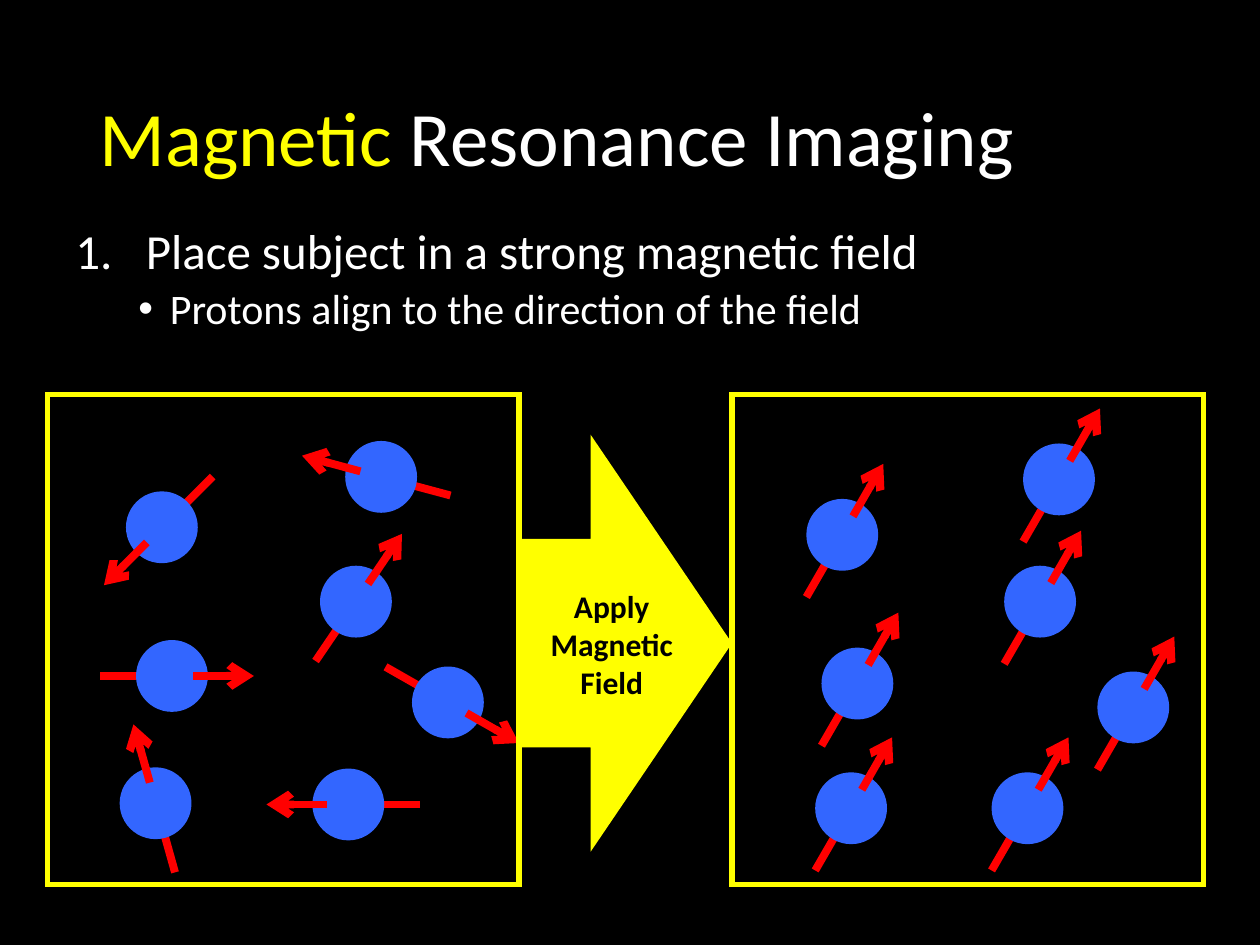
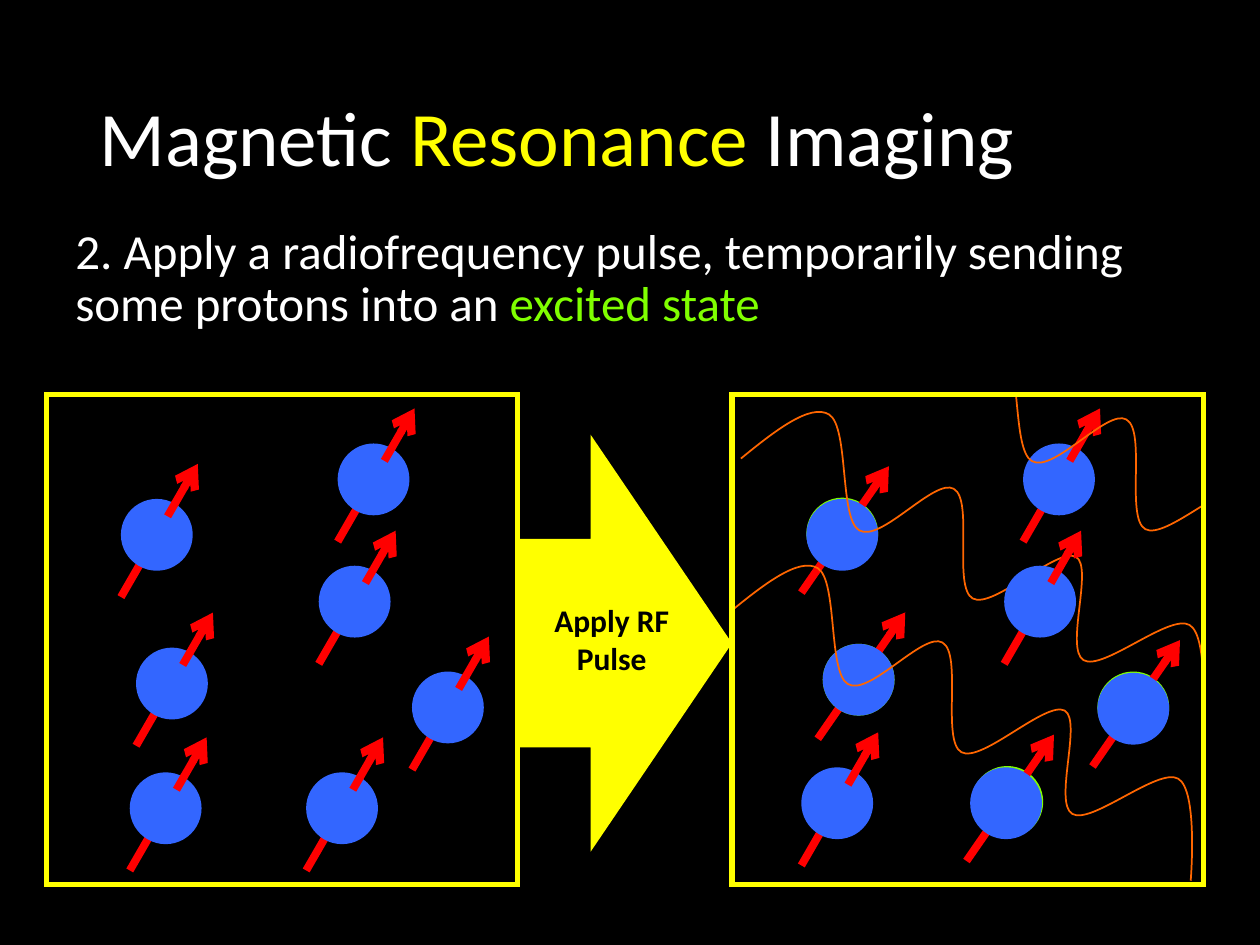
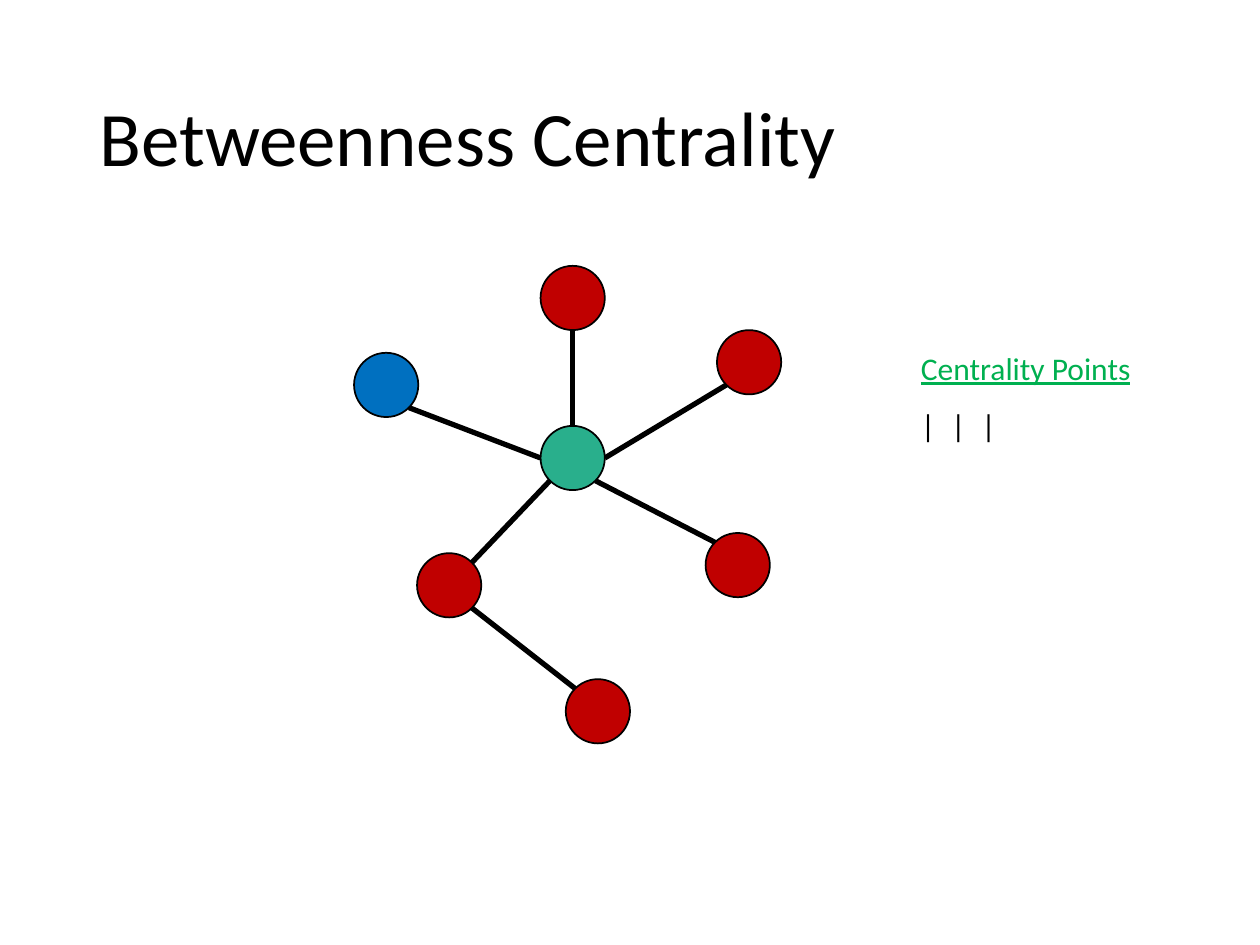
import math
from dataclasses import dataclass

from lxml import etree
from pptx import Presentation
from pptx import util as u
from pptx.dml.color import RGBColor
from pptx.enum import shapes, text
from pptx.oxml import ns

PX = u.Inches(1) // 100


@dataclass(frozen=True)
class Theme:
    font: str = "Calibri"
    bullet_font: str = "Arial"
    black: str = "000000"
    white: str = "FFFFFF"
    yellow: str = "FFFF00"
    red: str = "FF0000"
    proton: str = "3366FF"
    excited: str = "80FF00"
    wave: str = "FF6600"
    hub: str = "29AF8C"
    source: str = "0070C0"
    node: str = "C00000"
    points: str = "00B050"
    title_size: int = 44
    body_size: int = 28
    detail_size: int = 24
    label_size: int = 18
    thin: float = 1
    medium: float = 3
    thick: float = 4.5
    line_spacing: float = 0.9


THEME = Theme()
PROTON_SIZE = 57
NODE_SIZE = 51
FRAME_WIDTH, FRAME_HEIGHT, FRAME_TOP = 374, 389, 313
RIGHT_FRAME_LEFT = 581
FIELD_HEADING = 30
EXCITED_HEADING = 34.7

SCATTERED_PROTONS = [
    (100, 390, -135), (254, 449, 34.2), (108, 508, 90), (274, 350, -75),
    (248, 610, -90), (95, 609, -15.7), (327, 529, 119.7),
]
ALIGNED_PROTONS = [
    (640, 396), (797, 449), (652, 514), (812, 352),
    (787, 613), (647, 613), (871, 533),
]
EXCITED_PROTONS = [
    ((640, 395), (640, 396)), ((653, 511), (653, 511)),
    ((771, 608), (770, 609)), ((871, 533), (871, 534)),
]
WAVE_POINTS = [
    (588, 364),
    (615, 342), (643, 320), (658, 329),
    (674, 339), (666, 412), (682, 421),
    (699, 431), (742, 379), (757, 388),
    (773, 397), (756, 466), (772, 475),
    (788, 484), (839, 434), (854, 442),
    (868, 450), (845, 515), (860, 524),
    (875, 533), (928, 487), (944, 496),
    (960, 505), (954, 577), (954, 577),
]


def color(value):
    return RGBColor.from_string(value)


def rim_point(node, site):
    radius = NODE_SIZE / 2
    angle = math.radians(45 * site)
    return (
        node[0] + radius - radius * math.sin(angle),
        node[1] + radius - radius * math.cos(angle),
    )


def bend_segments(shape):
    segments = list(shape._element.iter(ns.qn("a:lnTo")))
    for first in range(0, len(segments), 3):
        curve = etree.Element(ns.qn("a:cubicBezTo"))
        segments[first].addprevious(curve)
        for segment in segments[first:first + 3]:
            curve.append(segment[0])
            segment.getparent().remove(segment)


class Deck:
    def __init__(self, theme):
        self.theme = theme
        self.presentation = Presentation()
        self.presentation.slide_width = 1000 * PX
        self.presentation.slide_height = 750 * PX
        self.slide = None

    def new_slide(self, background, title_runs):
        self.slide = self.presentation.slides.add_slide(self.presentation.slide_layouts[5])
        self.slide.background.fill.solid()
        self.slide.background.fill.fore_color.rgb = color(background)
        title = self.slide.shapes.title
        title.left, title.top, title.width, title.height = (
            length * PX for length in (69, 40, 862, 145)
        )
        frame = title.text_frame
        frame.auto_size = text.MSO_AUTO_SIZE.NONE
        frame.vertical_anchor = text.MSO_ANCHOR.MIDDLE
        paragraph = frame.paragraphs[0]
        paragraph.alignment = text.PP_ALIGN.LEFT
        paragraph.line_spacing = self.theme.line_spacing
        self.write_runs(paragraph, title_runs, self.theme.title_size)

    def write_runs(self, paragraph, runs, size, bold=False, underline=False):
        for words, run_color in runs:
            run = paragraph.add_run()
            run.text = words
            run.font.name = self.theme.font
            run.font.size = u.Pt(size)
            run.font.bold = bold
            run.font.underline = underline
            run.font.color.rgb = color(run_color)

    def text_box(self, left, top, width, height, wrap=True):
        box = self.slide.shapes.add_textbox(left * PX, top * PX, width * PX, height * PX)
        box.text_frame.word_wrap = wrap
        return box.text_frame

    def body(self, height):
        frame = self.text_box(50, 175, 900, height)
        frame.paragraphs[0].line_spacing = self.theme.line_spacing
        return frame

    def bullet(self, paragraph, margin, hanging, tag, typeface, **attributes):
        properties = paragraph._p.get_or_add_pPr()
        properties.set("marL", str(margin * PX))
        properties.set("indent", str(-hanging * PX))
        etree.SubElement(properties, ns.qn("a:buFont"), typeface=typeface)
        etree.SubElement(properties, ns.qn(tag), attributes)

    def label(self, left, top, width, height, words, text_color, centered=False,
              bold=False, underline=False, wrap=False):
        paragraph = self.text_box(left, top, width, height, wrap).paragraphs[0]
        if centered:
            paragraph.alignment = text.PP_ALIGN.CENTER
        self.write_runs(paragraph, [(words, text_color)], self.theme.label_size, bold, underline)

    def paint(self, shape, fill=None, line=None, width=1):
        shape.shadow.inherit = False
        if fill:
            shape.fill.solid()
            shape.fill.fore_color.rgb = color(fill)
        else:
            shape.fill.background()
        if line:
            shape.line.color.rgb = color(line)
            shape.line.width = u.Pt(width)
        else:
            shape.line.fill.background()

    def shape(self, kind, left, top, width, height, fill=None, line=None, line_width=1):
        shape = self.slide.shapes.add_shape(
            kind, left * PX, top * PX, width * PX, height * PX
        )
        self.paint(shape, fill, line, line_width)
        return shape

    def circle(self, position, size, fill, line=None):
        self.shape(shapes.MSO_SHAPE.OVAL, *position, size, size, fill, line, self.theme.thin)

    def line(self, begin, end, line_color, width, arrow=False):
        connector = self.slide.shapes.add_connector(
            shapes.MSO_CONNECTOR.STRAIGHT, *(round(value * PX) for value in (*begin, *end))
        )
        connector.line.color.rgb = color(line_color)
        connector.line.width = u.Pt(width)
        if arrow:
            etree.SubElement(connector.line._get_or_add_ln(), ns.qn("a:tailEnd"), type="arrow")
        etree.SubElement(connector._element.spPr, ns.qn("a:effectLst"))

    def proton(self, left, top, heading=FIELD_HEADING, fill=None):
        angle = math.radians(heading)

        def along(distance):
            return (
                left + PROTON_SIZE / 2 + distance * math.sin(angle),
                top + PROTON_SIZE / 2 - distance * math.cos(angle),
            )

        theme = self.theme
        self.line(along(29), along(-57), theme.red, theme.thick)
        self.circle((left, top), PROTON_SIZE, fill or theme.proton)
        self.line(along(17), along(65), theme.red, theme.thick, arrow=True)

    def aligned_protons(self, shift=0):
        for left, top in ALIGNED_PROTONS:
            self.proton(left + shift, top)

    def frame(self, left):
        frame = self.shape(
            shapes.MSO_SHAPE.RECTANGLE, left, FRAME_TOP, FRAME_WIDTH, FRAME_HEIGHT,
            line=self.theme.yellow, line_width=self.theme.medium,
        )
        etree.SubElement(frame.line._get_or_add_ln(), ns.qn("a:miter"), lim="800000")

    def step_arrow(self, words, top, height):
        arrow = self.shape(shapes.MSO_SHAPE.RIGHT_ARROW, 411, 345, 170, 331, self.theme.yellow)
        arrow.adjustments[0] = 0.5
        arrow.adjustments[1] = 0.66
        self.label(411, top, 149, height, words, self.theme.black,
                   centered=True, bold=True, wrap=True)

    def wave(self, shift_x=0, shift_y=0):
        points = [((x + shift_x) * PX, (y + shift_y) * PX) for x, y in WAVE_POINTS]
        builder = self.slide.shapes.build_freeform(*points[0], scale=1.0)
        builder.add_line_segments(points[1:], close=False)
        shape = builder.convert_to_shape()
        bend_segments(shape)
        self.paint(shape, line=self.theme.wave, width=self.theme.thin)

    def mask(self, left, top, width, height):
        self.shape(shapes.MSO_SHAPE.RECTANGLE, left, top, width, height, self.theme.black)


def magnetic_slide(deck):
    theme = deck.theme
    deck.new_slide(theme.black, [
        ("Magnetic", theme.yellow), (" Resonance Imaging", theme.white),
    ])
    frame = deck.body(527)
    step = frame.paragraphs[0]
    deck.bullet(step, 56, 56, "a:buAutoNum", theme.font, type="arabicPeriod")
    deck.write_runs(step, [("Place subject in a strong magnetic field", theme.white)],
                    theme.body_size)
    detail = frame.add_paragraph()
    detail.level = 1
    detail.line_spacing = theme.line_spacing
    detail.space_before = u.Pt(5)
    deck.bullet(detail, 75, 25, "a:buChar", theme.bullet_font, char="•")
    deck.write_runs(detail, [("Protons align to the direction of the field", theme.white)],
                    theme.detail_size)
    for left, top, heading in SCATTERED_PROTONS:
        deck.proton(left, top, heading)
    deck.frame(38)
    deck.aligned_protons()
    deck.frame(RIGHT_FRAME_LEFT)
    deck.step_arrow("Apply Magnetic Field", 461, 101)


def resonance_slide(deck):
    theme = deck.theme
    deck.new_slide(theme.black, [
        ("Magnetic ", theme.white), ("Resonance", theme.yellow), (" Imaging", theme.white),
    ])
    for glow, _ in EXCITED_PROTONS:
        deck.proton(*glow, EXCITED_HEADING, theme.excited)
    for position in ((812, 352), (636, 609)):
        deck.proton(*position)
    for _, cover in EXCITED_PROTONS:
        deck.circle(cover, PROTON_SIZE, theme.proton)

    left_shift = -544
    deck.aligned_protons(left_shift)
    deck.frame(RIGHT_FRAME_LEFT + left_shift)
    deck.step_arrow("Apply RF Pulse", 472, 71)

    for shift in ((0, 0), (-9, 122), (137, -55)):
        deck.wave(*shift)
    for area in ((955, 367, 45, 117), (734, 702, 148, 43), (720, 253, 99, 60)):
        deck.mask(*area)
    deck.frame(RIGHT_FRAME_LEFT)
    deck.write_runs(deck.body(117).paragraphs[0], [
        ("2. Apply a radiofrequency pulse, temporarily sending some protons into an ",
         theme.white),
        ("excited state", theme.excited),
    ], theme.body_size)
    deck.proton(797, 449)


def centrality_slide(deck):
    theme = deck.theme
    deck.new_slide(theme.white, [("Betweenness Centrality", theme.black)])
    nodes = {
        "hub": (429, 338), "source": (281, 280), "top": (429, 211),
        "upper right": (569, 262), "lower right": (560, 423),
        "lower left": (331, 439), "bottom": (449, 539),
    }
    edges = [
        ("hub", 0, "top", 4), ("hub", 6, "upper right", 3),
        ("hub", 5, "lower right", 1), ("hub", 3, "lower left", 7),
        ("lower left", 5, "bottom", 1), ("hub", 2, "source", 5),
    ]
    for begin, begin_site, end, end_site in edges:
        deck.line(rim_point(nodes[begin], begin_site), rim_point(nodes[end], end_site),
                  theme.black, theme.medium)
    fills = {"hub": theme.hub, "source": theme.source}
    for name, position in nodes.items():
        deck.circle(position, NODE_SIZE, fills.get(name, theme.node), theme.black)
    deck.label(721, 272, 188, 40, "Centrality Points", theme.points, underline=True)
    for tally in range(3):
        deck.label(721 + 24 * tally, 317, 32, 40, "|", theme.black)


def main():
    deck = Deck(THEME)
    magnetic_slide(deck)
    resonance_slide(deck)
    centrality_slide(deck)
    deck.presentation.save("out.pptx")


if __name__ == "__main__":
    main()
